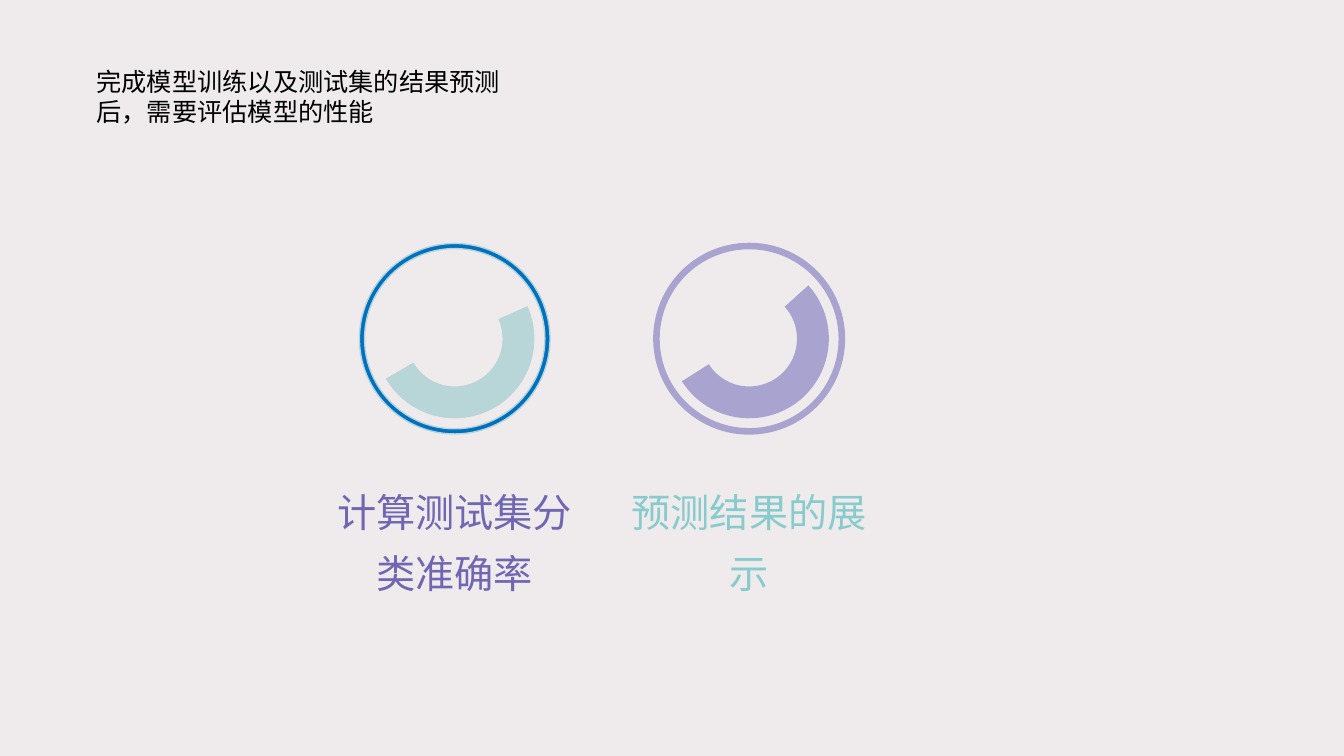
from lxml.etree import SubElement
from pptx import Presentation
from pptx.dml.color import RGBColor
from pptx.enum.shapes import MSO_SHAPE
from pptx.enum.text import MSO_AUTO_SIZE, PP_ALIGN
from pptx.oxml.ns import qn
from pptx.util import Inches, Pt

THEME = {
    "font": "Noto Sans CJK SC",
    "background": "EFEBEC",
    "text": "000000",
    "blue": "0070C0",
    "mint": "B8D5D7",
    "lilac": "A9A3D0",
    "purple": "7066B1",
    "teal": "88CBCC",
    "body_size": 18,
    "label_size": 28,
}


def add_text(s, box, text, size, color, frame_format, paragraph_format):
    tf = s.shapes.add_textbox(*map(Inches, box)).text_frame
    p = tf.paragraphs[0]
    r = p.add_run()
    r.text = text
    base = {"word_wrap": True, "auto_size": MSO_AUTO_SIZE.SHAPE_TO_FIT_TEXT}
    font_format = {"name": THEME["font"], "size": Pt(THEME[size])}
    for target, values in (
        (tf, base | frame_format),
        (p, paragraph_format),
        (r.font, font_format),
    ):
        for name, value in values.items():
            setattr(target, name, value)
    r.font.color.rgb = RGBColor.from_string(THEME[color])
    SubElement(r.font._element, qn("a:ea"), typeface=THEME["font"])


def add_ring(s, kind, box, adjustments, fill, line=None, rotation=0):
    sp = s.shapes.add_shape(kind, *map(Inches, box))
    sp.shadow.inherit = False
    sp.rotation = rotation
    for i, value in enumerate(adjustments):
        sp.adjustments[i] = value
    sp.fill.solid()
    sp.fill.fore_color.rgb = RGBColor.from_string(THEME[fill])
    if line:
        sp.line.color.rgb = RGBColor.from_string(THEME[line])
        sp.line.width = Pt(1)
    else:
        sp.line.fill.background()


prs = Presentation()
prs.slide_width, prs.slide_height = Inches(13.33), Inches(7.5)
s = prs.slides.add_slide(prs.slide_layouts[6])
s.background.fill.solid()
s.background.fill.fore_color.rgb = RGBColor.from_string(THEME["background"])

add_text(s, (0.86, 0.61, 4.44, 0.71), "完成模型训练以及测试集的结果预测后，需要评估模型的性能",
         "body_size", "text", {}, {})

label_frame = {
    "margin_left": Inches(0.15),
    "margin_right": Inches(0.15),
    "margin_top": Inches(0.07),
    "margin_bottom": Inches(0.07),
}
label_paragraph = {"alignment": PP_ALIGN.CENTER, "line_spacing": 1.3}
steps = [
    ("计算测试集分类准确率", "purple", "blue", "mint", 113.75, 146.3),
    ("预测结果的展示", "teal", "lilac", "lilac", 104.4, 144),
]
ring, arc, label = 1.89, 1.58, 2.67
middle = 3.36
for i, (text, color, ring_fill, accent, start, rotation) in enumerate(steps):
    center = 4.51 + 2.92 * i
    add_ring(s, MSO_SHAPE.DONUT, (center - ring / 2, middle - ring / 2, ring, ring),
             [0.027], ring_fill, line=accent)
    add_ring(s, MSO_SHAPE.BLOCK_ARC, (center - arc / 2, middle - arc / 2, arc, arc),
             [start, 2.18, 0.2], accent, rotation=rotation)
    add_text(s, (center - label / 2, 4.63, label, 1.37), text,
             "label_size", color, label_frame, label_paragraph)

prs.save("out.pptx")
